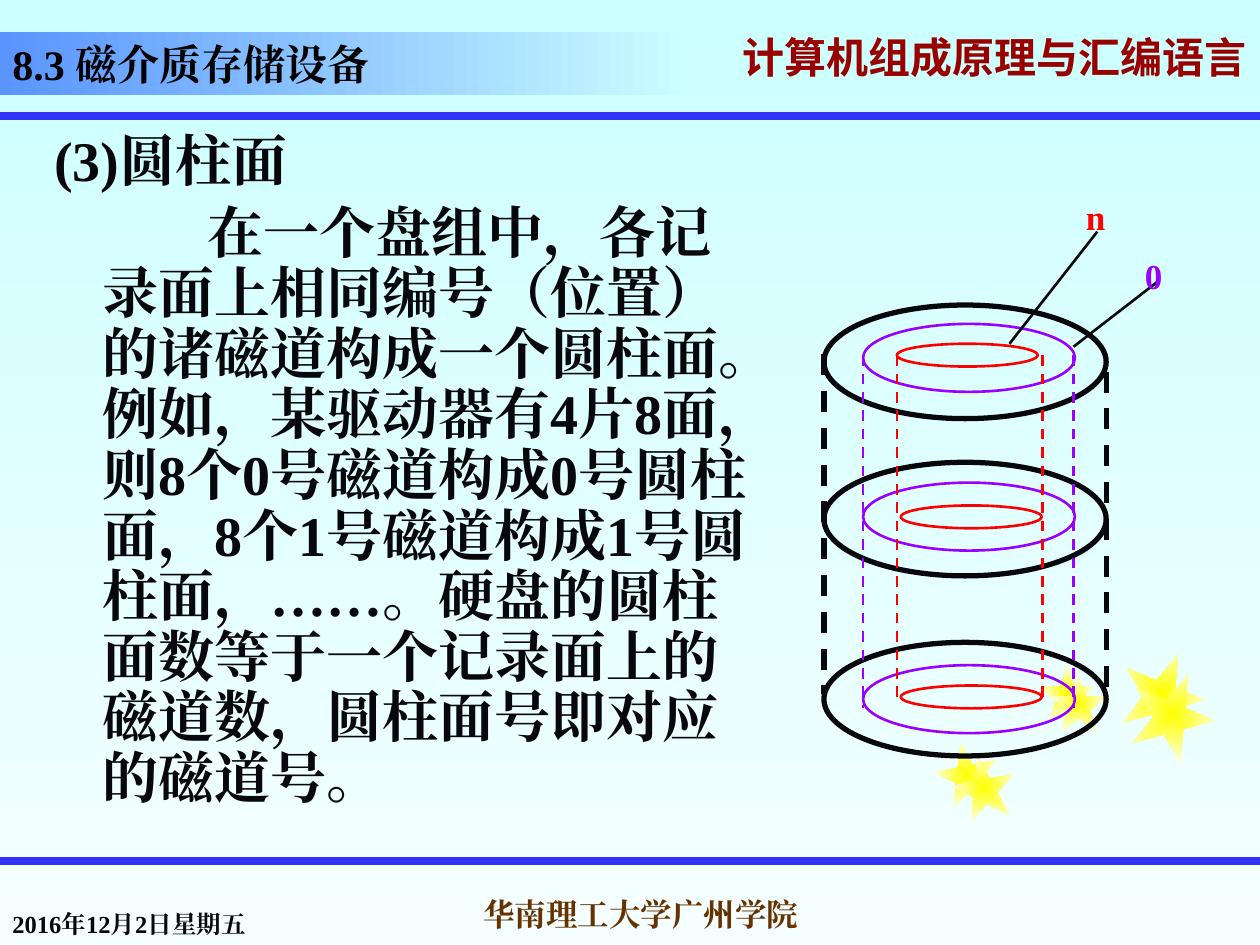
from lxml import etree
from pptx import Presentation
from pptx import util as u
from pptx.dml.color import RGBColor
from pptx.enum import dml, shapes, text
from pptx.oxml.ns import qn

SERIF, SANS = "Times New Roman", "Noto Sans CJK SC"
INK, BLUE, VIOLET, RED = "08080C", "3333FF", "9900FF", "FF0000"
SKY, PALE = "CCFFFF", "F5FFFF"
TOP, MID, LOW = text.MSO_ANCHOR.TOP, text.MSO_ANCHOR.MIDDLE, text.MSO_ANCHOR.BOTTOM
LEFT, CENTER = text.PP_ALIGN.LEFT, text.PP_ALIGN.CENTER

HEAD = "计算机组成原理与汇编语言"
TITLE = "8.3 磁介质存储设备"
DATE = "2016年12月2日星期五"
SCHOOL = "华南理工大学广州学院"
BODY = [
    ("(3)圆柱面", -0.97, 0),
    ("在一个盘组中，各记录面上相同编号（位置）的诸磁道构成一个圆柱面。"
     "例如，某驱动器有4片8面，则8个0号磁道构成0号圆柱面，"
     "8个1号磁道构成1号圆柱面，……。"
     "硬盘的圆柱面数等于一个记录面上的磁道数，圆柱面号即对应的磁道号。", 2.13, 6.4),
]
RULES = [2.34, 17.35]
STARS = [
    (18.85, 14.96, 1.27, 349), (20.93, 13.39, 1.17, 0), (22.58, 13.13, 1.7, 22),
    (19.2, 15.24, 1.27, 349), (21.16, 13.59, 1.17, 0), (22.78, 13.54, 1.7, 22),
]
RINGS = [
    (INK, 3, 5.69, 2.29, [(16.61, 6.15), (16.61, 9.32), (16.61, 12.95)]),
    (VIOLET, 1.5, 4.27, 1.37, [(17.4, 13.41), (17.4, 9.73), (17.4, 6.53)]),
    (RED, 1.5, 2.84, 0.46, [(18.16, 13.82), (18.16, 10.19), (18.08, 6.93)]),
]
WALLS = [
    (INK, 3, 16.61, 7.14, 14), (INK, 3, 22.3, 7.49, 14.15),
    (VIOLET, 1.5, 17.4, 7.16, 14.27), (VIOLET, 1.5, 21.64, 7.16, 14.27),
    (RED, 1.5, 18.08, 7.16, 14.1), (RED, 1.5, 21.01, 7.16, 14.1),
]
LEADS = [(21.64, 6.99, 23.32, 5.69), (20.35, 6.93, 22.12, 4.67)]
MARKS = [("0", VIOLET, 22.83, 5), ("n", RED, 21.64, 3.81)]


def rgb(code):
    return RGBColor.from_string(code)


def place(*vals):
    return [u.Cm(val) for val in vals]


def fade(fill, first, last, angle=0):
    fill.gradient()
    fill.gradient_angle = angle
    for stop, code in zip(fill.gradient_stops, (first, last)):
        stop.color.rgb = rgb(code)


def style(item, vals):
    for name, val in vals.items():
        setattr(item, name, val)


def write(frame, lines, size, color, face=SERIF, anchor=TOP, align=LEFT, wrap=True):
    style(frame, {"word_wrap": wrap, "vertical_anchor": anchor})
    for num, line in enumerate(lines):
        para = frame.add_paragraph() if num else frame.paragraphs[0]
        para.alignment = align
        run = para.add_run()
        run.text = line
        style(run.font, {"size": u.Pt(size), "bold": True, "name": face})
        run.font.color.rgb = rgb(color)
        east = etree.SubElement(run.font._element, qn("a:ea"))
        east.set("typeface", face)
    return frame.paragraphs


def label(home, box, *args, **opts):
    return write(home.add_textbox(*place(*box)).text_frame, *args, **opts)


def draw(home, kind, box):
    shape = home.add_shape(kind, *place(*box))
    shape.shadow.inherit = False
    shape.line.fill.background()
    return shape


def stroke(home, ends, color, width, dash=None):
    line = home.add_connector(shapes.MSO_CONNECTOR.STRAIGHT, *place(*ends))
    etree.SubElement(line._element.spPr, qn("a:effectLst"))
    line.line.color.rgb = rgb(color)
    style(line.line, {"width": u.Pt(width), "dash_style": dash})


def shade(run):
    props = run.font._element
    effect = etree.Element(qn("a:effectLst"))
    cast = etree.SubElement(effect, qn("a:outerShdw"), dist="35921", dir="2700000")
    etree.SubElement(cast, qn("a:srgbClr"), val="808080")
    props.find(qn("a:solidFill")).addnext(effect)


def glow(shape):
    fade(shape.fill, "FFFF00", "FFFFF5")
    lin = shape._element.spPr.find(qn("a:gradFill")).find(qn("a:lin"))
    ring = etree.Element(qn("a:path"), {"path": "shape"})
    mid = dict.fromkeys("ltrb", "50000")
    etree.SubElement(ring, qn("a:fillToRect"), mid)
    lin.getparent().replace(lin, ring)


def frame(slide):
    home = slide.shapes
    fade(slide.background.fill, SKY, PALE, 270)
    head = label(home, (14.71, 0.64, 10.69, 1.27), [HEAD], 24, "990000", SANS, MID)[0]
    head.line_spacing = 0.7
    shade(head.runs[0])
    for y in RULES:
        stroke(home, (0, y, 25.4, y), BLUE, 4.5)
    group = home.add_group_shape().shapes
    for x, y, size, turn in STARS:
        star = draw(group, shapes.MSO_SHAPE.STAR_5_POINT, (x, y, size, size))
        star.rotation = turn
        glow(star)
    label(home, (0, 17.78, 5.69, 1.27), [DATE], 14, INK, anchor=LOW)
    label(home, (8.89, 17.78, 8.05, 1.27), [SCHOOL], 18, "663300",
          anchor=MID, align=CENTER, wrap=False)
    bar = draw(home, shapes.MSO_SHAPE.RECTANGLE, (0, 0.64, 13.97, 1.27))
    fade(bar.fill, "5994FF", SKY)
    write(bar.text_frame, [TITLE], 24, "000000", anchor=LOW)


def body(home):
    paras = label(home, (0.84, 2.54, 14.55, 14.22), [row[0] for row in BODY], 32, INK)
    for para, (_, indent, gap) in zip(paras, BODY):
        style(para, {"line_spacing": u.Pt(34.6), "space_before": u.Pt(gap)})
        props = para._p.get_or_add_pPr()
        props.set("marL", str(u.Cm(0.97)))
        props.set("indent", str(u.Cm(indent)))


def disks(home):
    for color, width, w, h, spots in RINGS:
        for x, y in spots:
            ring = draw(home, shapes.MSO_SHAPE.OVAL, (x, y, w, h))
            ring.fill.background()
            ring.line.color.rgb = rgb(color)
            ring.line.width = u.Pt(width)
    for color, width, x, top, end in WALLS:
        stroke(home, (x, top, x, end), color, width, dml.MSO_LINE.DASH)
    for ends in LEADS:
        stroke(home, ends, INK, 1.5)
    for mark, color, x, y in MARKS:
        label(home, (x, y, 2.18, 1.09), [mark], 20, color)


def main():
    deck = Presentation()
    style(deck, {"slide_width": u.Cm(25.4), "slide_height": u.Cm(19.05)})
    slide = deck.slides.add_slide(deck.slide_layouts[6])
    frame(slide)
    body(slide.shapes)
    disks(slide.shapes.add_group_shape().shapes)
    deck.save("out.pptx")


if __name__ == "__main__":
    main()
